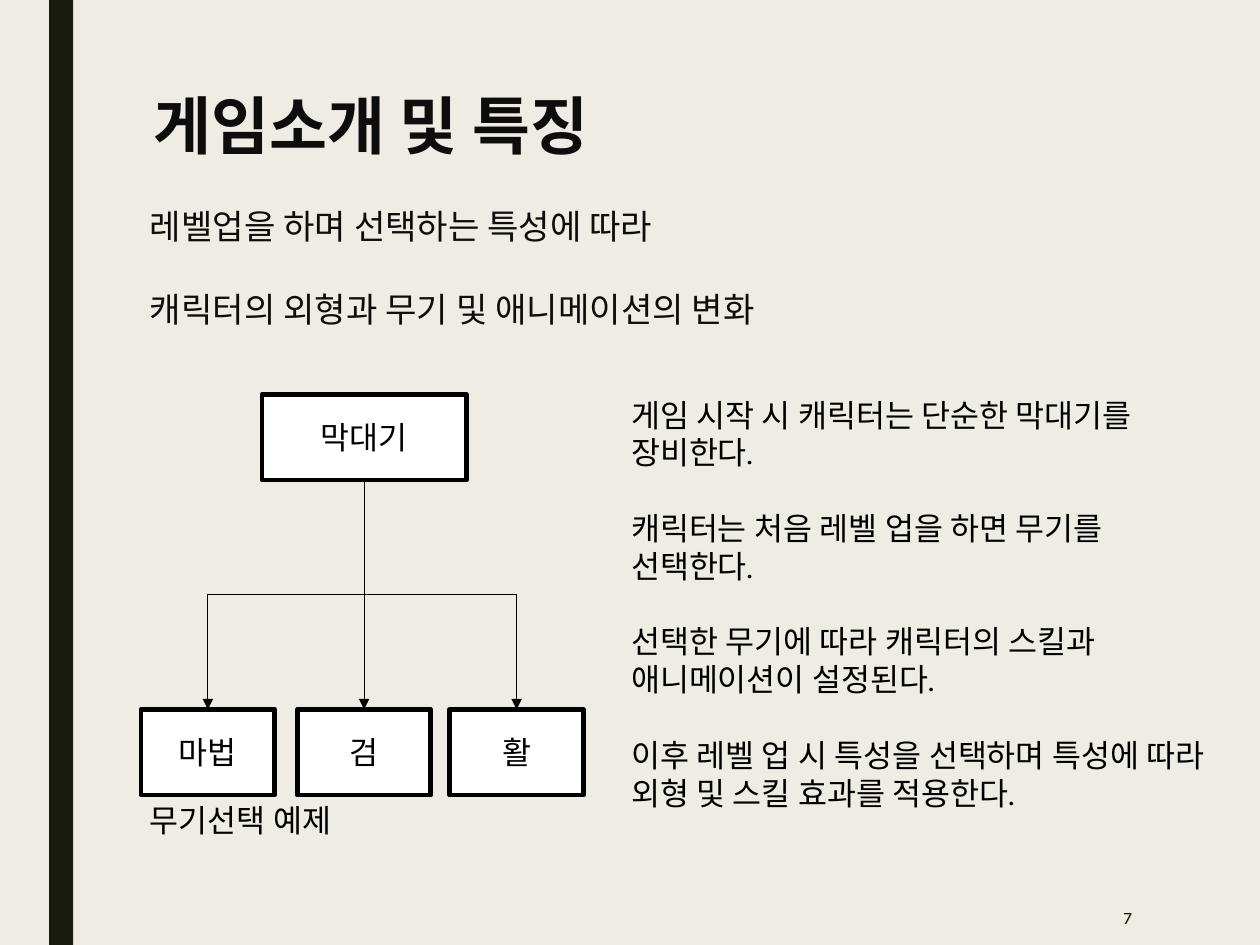
import pptx
import pptx.util
import pptx.dml.color
import pptx.enum.shapes
import pptx.enum.text
import pptx.oxml
import pptx.oxml.ns
from pptx.util import Inches

SHAPE = pptx.enum.shapes.MSO_SHAPE
LINK = pptx.enum.shapes.MSO_CONNECTOR
ALIGN = pptx.enum.text.PP_ALIGN
ANCHOR = pptx.enum.text.MSO_ANCHOR
FIT = pptx.enum.text.MSO_AUTO_SIZE
qn = pptx.oxml.ns.qn


def color(code):
    return pptx.dml.color.RGBColor.from_string(code)


def add(parent, tag, **attrs):
    node = parent.makeelement(qn(tag), attrs)
    parent.append(node)
    return node


class Deck:
    font = "Karla"
    head = "Noto Sans CJK KR"
    ink = "000000"
    dark = "191B0E"
    soft = "0D0D0D"
    paper = "EFEDE3"

    def __init__(self):
        self.file = pptx.Presentation()
        self.file.slide_width = Inches(10)
        self.file.slide_height = Inches(7.5)
        self.slide = self.file.slides.add_slide(self.file.slide_layouts[1])
        fill = self.slide.background.fill
        fill.solid()
        fill.fore_color.rgb = color(self.paper)

    def style(self, para, size, tone=ink, face=font, bold=False, align=ALIGN.LEFT):
        para.alignment = align
        font = para.font
        font.size = pptx.util.Pt(size)
        font.bold = bold
        font.name = face
        font.color.rgb = color(tone)
        add(para._p.pPr.find(qn("a:defRPr")), "a:ea", typeface=face)

    def place(self, shape, left, top, width, height):
        shape.left, shape.top = Inches(left), Inches(top)
        shape.width, shape.height = Inches(width), Inches(height)

    def title(self, text, *area):
        shape = self.slide.shapes.title
        self.place(shape, *area)
        frame = shape.text_frame
        frame.text = text
        frame.auto_size = FIT.NONE
        frame.vertical_anchor = ANCHOR.TOP
        para = frame.paragraphs[0]
        para.line_spacing = 0.89
        self.style(para, 36, self.soft, self.head, True)

    def body(self, lines, *area):
        shape = self.slide.placeholders[1]
        self.place(shape, *area)
        frame = shape.text_frame
        frame.text = "\n".join(lines)
        frame.auto_size = FIT.NONE
        frame.margin_left = frame.margin_right = Inches(0.07)
        frame.margin_top = frame.margin_bottom = Inches(0.04)
        for num, para in enumerate(frame.paragraphs):
            para.line_spacing = 1.5
            para.space_before = pptx.util.Pt(10 if num else 0)
            para.space_after = pptx.util.Pt(2)
            props = para._p.get_or_add_pPr()
            props.set("marL", "0")
            props.set("indent", "0")
            add(props, "a:buNone")
            self.style(para, 19.5, self.soft, self.head)

    def text(self, lines, *area, size=18, tone=ink, align=ALIGN.LEFT,
             anchor=ANCHOR.TOP, gaps=()):
        shape = self.slide.shapes.add_textbox(*map(Inches, area))
        frame = shape.text_frame
        frame.text = "\n".join(lines)
        frame.word_wrap = True
        frame.vertical_anchor = anchor
        for num, para in enumerate(frame.paragraphs):
            if num in gaps:
                para.space_before = pptx.util.Pt(21.6)
            self.style(para, size, tone, align=align)

    def bar(self, *area):
        shape = self.slide.shapes.add_shape(SHAPE.RECTANGLE, *map(Inches, area))
        shape.shadow.inherit = False
        shape.fill.solid()
        shape.fill.fore_color.rgb = color(self.dark)
        shape.line.fill.background()

    def box(self, text, *area):
        shape = self.slide.shapes.add_shape(
            SHAPE.FLOWCHART_PROCESS, *map(Inches, area))
        shape.shadow.inherit = False
        shape.fill.solid()
        shape.fill.fore_color.rgb = color("FFFFFF")
        shape.line.color.rgb = color(self.ink)
        shape.line.width = pptx.util.Pt(2.75)
        frame = shape.text_frame
        frame.text = text
        frame.vertical_anchor = ANCHOR.MIDDLE
        self.style(frame.paragraphs[0], 18, align=ALIGN.CENTER)
        return shape

    def arrow(self, link):
        link.line.color.rgb = color(self.ink)
        link.line.width = pptx.util.Pt(0.5)
        add(link.line._get_or_add_ln(), "a:tailEnd", type="triangle")
        add(link._element.spPr, "a:effectLst")

    def drop(self, start, end):
        link = self.slide.shapes.add_connector(LINK.STRAIGHT, 0, 0, 0, 0)
        link.begin_connect(start, 2)
        link.end_connect(end, 0)
        self.arrow(link)

    def bend(self, start, end):
        x1, y1 = start.left + start.width // 2, start.top + start.height
        x2, y2 = end.left + end.width // 2, end.top
        long, wide = y2 - y1, abs(x2 - x1)
        left, top = (x1 + x2 - long) // 2, (y1 + y2 - wide) // 2
        right = x2 > x1
        ends = (left + long, left) if right else (left, left + long)
        link = self.slide.shapes.add_connector(
            LINK.ELBOW, ends[0], top, ends[1], top + wide)
        turn = 270 if right else 90
        link._element.spPr.find(qn("a:xfrm")).set("rot", str(turn * 60000))
        self.arrow(link)


def main():
    deck = Deck()
    deck.bar(0.39, 0, 0.19, 7.5)
    deck.text(["7"], 7.77, 7.06, 1.31, 0.44, size=10, tone=deck.dark,
              align=ALIGN.RIGHT, anchor=ANCHOR.MIDDLE)
    deck.title("게임소개 및 특징", 1.12, 0.71, 7.88, 0.64)
    deck.body(["레벨업을 하며 선택하는 특성에 따라",
               "캐릭터의 외형과 무기 및 애니메이션의 변화"],
              1.12, 1.43, 7.88, 1.26)

    stick = deck.box("막대기", 2.08, 3.13, 1.62, 0.68)
    magic, sword, bow = [
        deck.box(name, left, 5.63, 1.06, 0.68)
        for name, left in (("마법", 1.12), ("검", 2.36), ("활", 3.57))]
    deck.bend(stick, bow)
    deck.bend(stick, magic)
    deck.drop(stick, sword)

    deck.text(["게임 시작 시 캐릭터는 단순한 막대기를",
               "장비한다.",
               "캐릭터는 처음 레벨 업을 하면 무기를",
               "선택한다.",
               "선택한 무기에 따라 캐릭터의 스킬과",
               "애니메이션이 설정된다.",
               "이후 레벨 업 시 특성을 선택하며 특성에 따라 외형 및 스킬 효과를 적용한다."],
              4.91, 3.09, 4.81, 3.43, gaps=(2, 4, 6))
    deck.text(["무기선택 예제"], 1.09, 6.31, 2.68, 0.4)
    deck.file.save("out.pptx")


if __name__ == "__main__":
    main()
